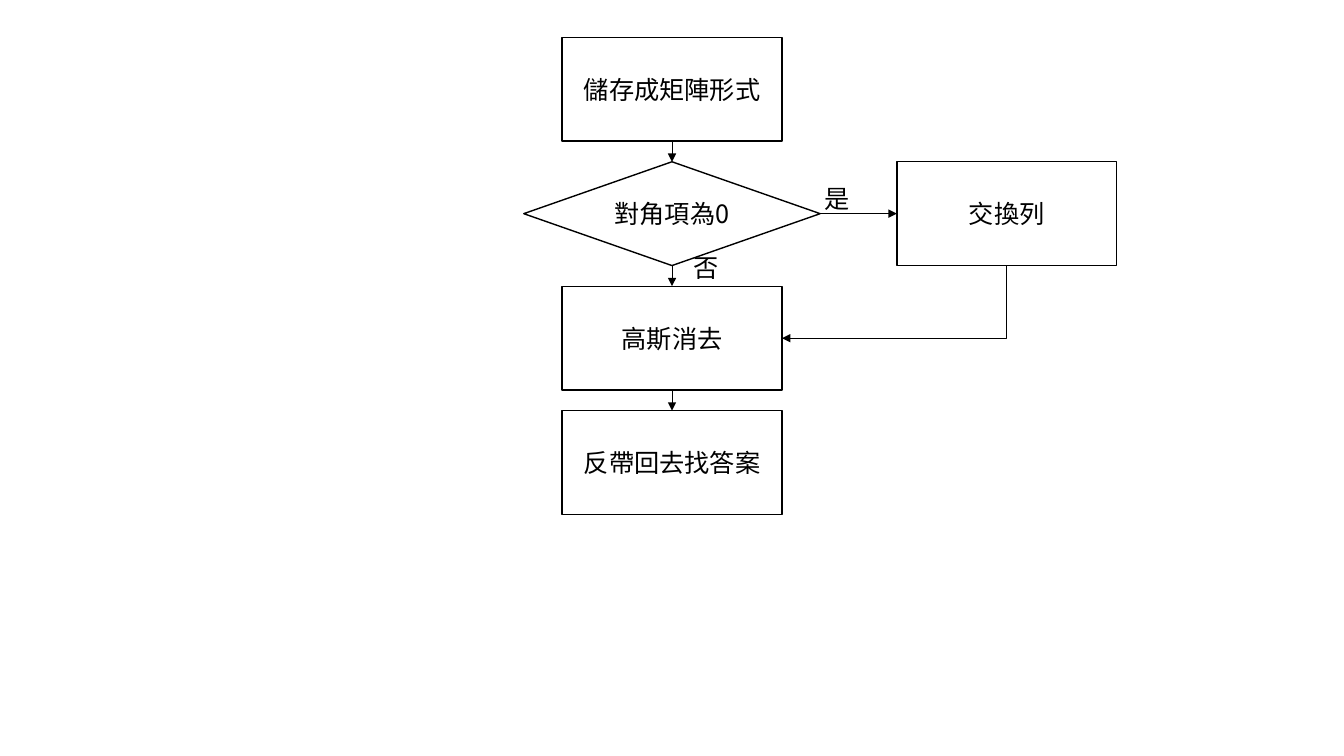
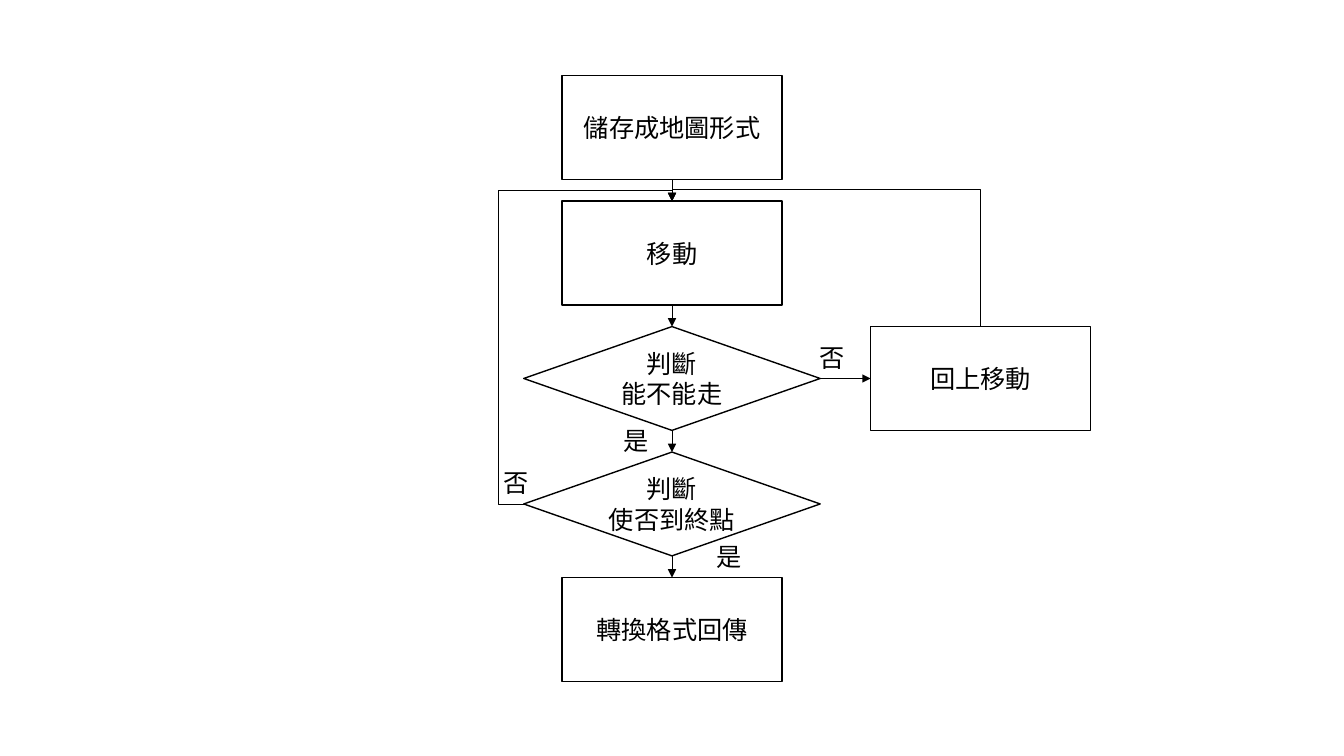
from dataclasses import dataclass

import pptx
import pptx.dml.color
import pptx.enum.shapes
import pptx.enum.text
import pptx.oxml.ns
import pptx.util
from lxml import etree

Inches, Pt = pptx.util.Inches, pptx.util.Pt
qn = pptx.oxml.ns.qn
SHAPE = pptx.enum.shapes.MSO_SHAPE
CONNECTOR = pptx.enum.shapes.MSO_CONNECTOR

BLACK = pptx.dml.color.RGBColor(0x00, 0x00, 0x00)
WHITE = pptx.dml.color.RGBColor(0xFF, 0xFF, 0xFF)
BOX_FONT, LABEL_FONT = "Noto Sans CJK SC", "Calibri"
TEXT_SIZE = Pt(18)

SLIDE_W, SLIDE_H = 13.33, 7.5
CENTER = SLIDE_W / 2
BOX_W, DECISION_W, BOX_H = 2.18, 2.94, 1.03
LABEL_W, LABEL_H = 0.88, 0.4
TOP, LEFT, BOTTOM, RIGHT = range(4)


@dataclass(frozen=True)
class Step:
    """A box in a grid row; side steps stand in the right-hand column."""
    text: str
    row: int
    decision: bool = False
    side: bool = False


@dataclass(frozen=True)
class Bend:
    """Preset route of an elbow arrow; adjust holds shares of its box."""
    preset: str
    rotation: int
    flip: str = ""
    adjust: tuple[float, ...] = ()


@dataclass(frozen=True)
class Arrow:
    start: int
    start_side: int
    end: int
    end_side: int
    bend: Bend | None = None


@dataclass(frozen=True)
class Label:
    """Answer beside an arrow: inches from the center line, rows from the top."""
    text: str
    offset: float
    row: float


@dataclass(frozen=True)
class Flowchart:
    top: float
    pitch: float
    side_offset: float
    steps: tuple[Step, ...]
    arrows: tuple[Arrow, ...]
    labels: tuple[Label, ...]


def down(start: int, end: int) -> Arrow:
    return Arrow(start, BOTTOM, end, TOP)


CHARTS = (
    Flowchart(
        0.37, 1.235, 3.32,
        (
            Step("儲存成矩陣形式", 0),
            Step("對角項為0", 1, decision=True),
            Step("高斯消去", 2),
            Step("反帶回去找答案", 3),
            Step("交換列", 1, side=True),
        ),
        (
            down(0, 1), down(1, 2), down(2, 3),
            Arrow(1, RIGHT, 4, LEFT),
            Arrow(4, BOTTOM, 2, RIGHT, Bend("bentConnector2", 90)),
        ),
        (Label("是", 1.41, 1.13), Label("否", 0.11, 1.69)),
    ),
    Flowchart(
        0.75, 1.245, 3.06,
        (
            Step("儲存成地圖形式", 0),
            Step("移動", 1),
            Step("判斷\n能不能走", 2, decision=True),
            Step("判斷\n使否到終點", 3, decision=True),
            Step("轉換格式回傳", 4),
            Step("回上移動", 2, side=True),
        ),
        (
            down(0, 1), down(1, 2), down(2, 3), down(3, 4),
            Arrow(2, RIGHT, 5, LEFT),
            Arrow(5, TOP, 1, TOP, Bend("bentConnector3", 270, "flipV", (1.09,))),
            Arrow(3, LEFT, 1, TOP,
                  Bend("bentConnector4", 180, "flipH", (-0.17, 1.035))),
        ),
        (
            Label("是", -0.58, 2.75),
            Label("否", 1.36, 2.09),
            Label("否", -1.77, 3.08),
            Label("是", 0.34, 3.67),
        ),
    ),
)


def add_text(p, text: str, font: str):
    r = p.add_run()
    r.text = text
    r.font.name, r.font.size = font, TEXT_SIZE
    r.font.color.rgb = BLACK
    return r


def add_step(s, chart: Flowchart, step: Step):
    width = DECISION_W if step.decision else BOX_W
    center = CENTER + (chart.side_offset if step.side else 0)
    sp = s.shapes.add_shape(
        SHAPE.FLOWCHART_DECISION if step.decision else SHAPE.RECTANGLE,
        Inches(center - width / 2), Inches(chart.top + step.row * chart.pitch),
        Inches(width), Inches(BOX_H))
    sp.shadow.inherit = False
    sp.fill.solid()
    sp.fill.fore_color.rgb = WHITE
    sp.line.color.rgb = BLACK
    sp.line.width = Pt(1)
    tf = sp.text_frame
    tf.word_wrap = True
    tf.vertical_anchor = pptx.enum.text.MSO_ANCHOR.MIDDLE
    for i, line in enumerate(step.text.split("\n")):
        p = tf.add_paragraph() if i else tf.paragraphs[0]
        p.alignment = pptx.enum.text.PP_ALIGN.CENTER
        r = add_text(p, line, BOX_FONT)
        latin = r.font._element.find(qn("a:latin"))
        east_asian = etree.Element(qn("a:ea"), typeface=BOX_FONT)
        latin.addnext(east_asian)
    return sp


def apply_bend(cxn, bend: Bend) -> None:
    """Turn the connector's box about its center and set the preset route."""
    if bend.rotation % 180:
        left, top, width, height = cxn.left, cxn.top, cxn.width, cxn.height
        cxn.left = left + (width - height) // 2
        cxn.top = top + (height - width) // 2
        cxn.width, cxn.height = height, width
    xfrm = cxn.element.spPr.find(qn("a:xfrm"))
    for flip in ("flipH", "flipV"):
        xfrm.attrib.pop(flip, None)
    xfrm.set("rot", str(bend.rotation * 60000))
    if bend.flip:
        xfrm.set(bend.flip, "1")
    geometry = cxn.element.spPr.find(qn("a:prstGeom"))
    geometry.set("prst", bend.preset)
    guides = geometry.find(qn("a:avLst"))
    for i, share in enumerate(bend.adjust, 1):
        etree.SubElement(guides, qn("a:gd"), name=f"adj{i}",
                         fmla=f"val {round(share * 100000)}")


def add_arrow(s, arrow: Arrow, shapes: list) -> None:
    kind = CONNECTOR.ELBOW if arrow.bend else CONNECTOR.STRAIGHT
    cxn = s.shapes.add_connector(kind, 0, 0, 0, 0)
    cxn.begin_connect(shapes[arrow.start], arrow.start_side)
    cxn.end_connect(shapes[arrow.end], arrow.end_side)
    if arrow.bend:
        apply_bend(cxn, arrow.bend)
    cxn.line.color.rgb = BLACK
    cxn.line.width = Pt(0.5)
    etree.SubElement(cxn.line._get_or_add_ln(), qn("a:tailEnd"), type="triangle")
    etree.SubElement(cxn.element.spPr, qn("a:effectLst"))


def add_label(s, chart: Flowchart, label: Label) -> None:
    tf = s.shapes.add_textbox(
        Inches(CENTER + label.offset), Inches(chart.top + label.row * chart.pitch),
        Inches(LABEL_W), Inches(LABEL_H)).text_frame
    tf.word_wrap = True
    tf.auto_size = pptx.enum.text.MSO_AUTO_SIZE.SHAPE_TO_FIT_TEXT
    add_text(tf.paragraphs[0], label.text, LABEL_FONT)


def add_flowchart(prs, chart: Flowchart) -> None:
    s = prs.slides.add_slide(prs.slide_layouts[6])
    shapes = [add_step(s, chart, step) for step in chart.steps]
    for arrow in chart.arrows:
        add_arrow(s, arrow, shapes)
    for label in chart.labels:
        add_label(s, chart, label)


def main() -> None:
    prs = pptx.Presentation()
    prs.slide_width, prs.slide_height = Inches(SLIDE_W), Inches(SLIDE_H)
    for chart in CHARTS:
        add_flowchart(prs, chart)
    prs.save("out.pptx")


if __name__ == "__main__":
    main()
